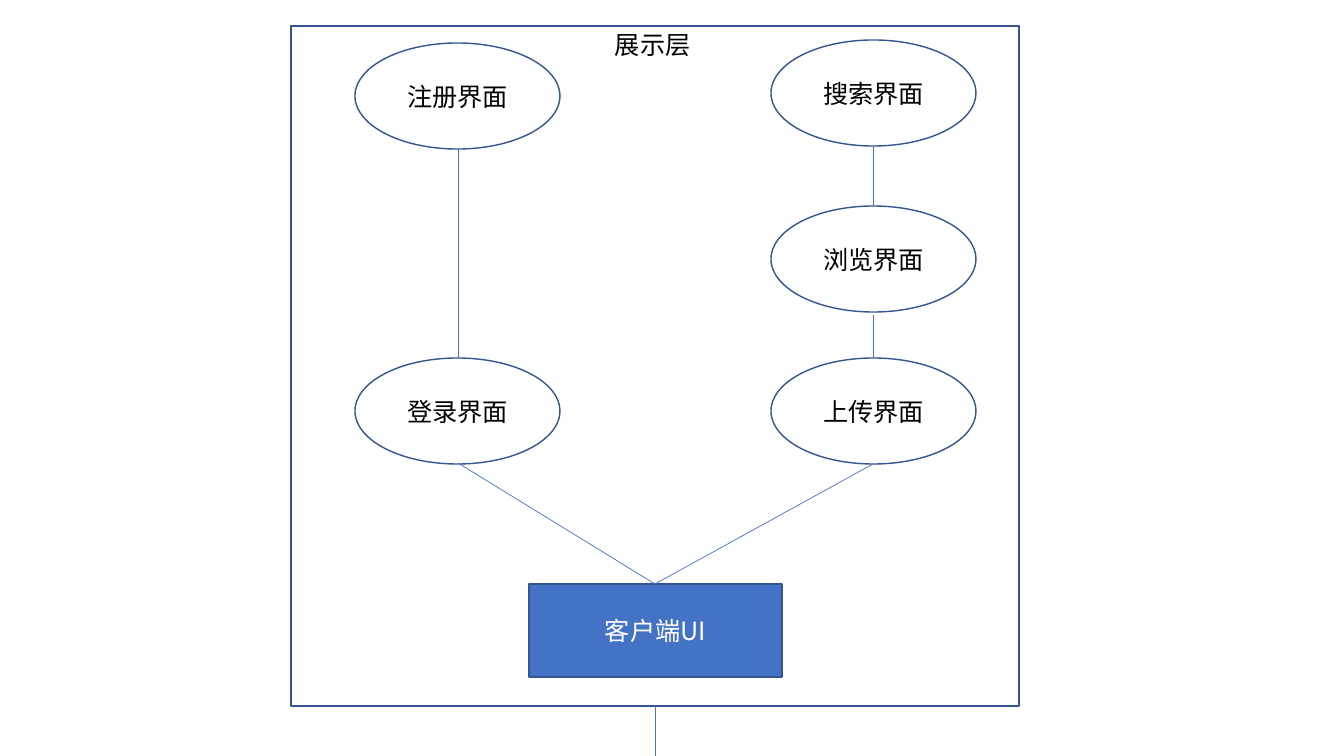
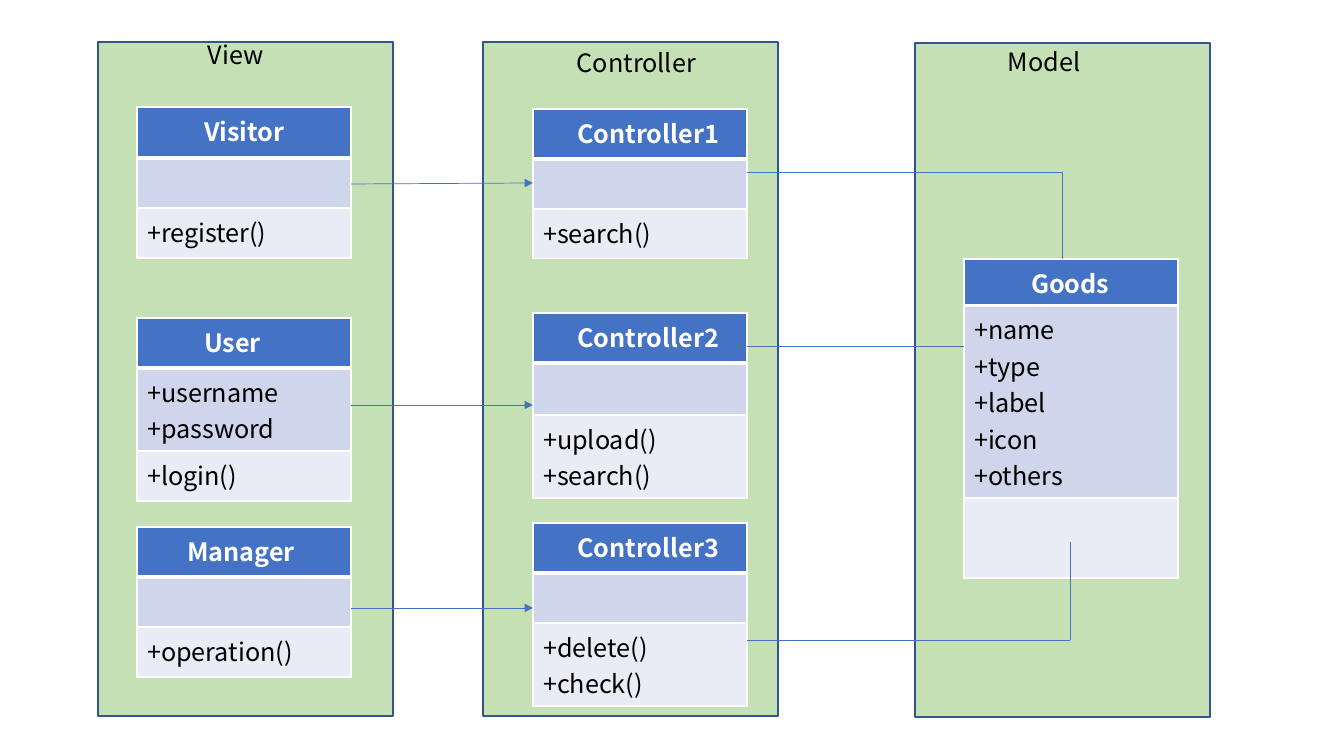
import pptx
import pptx.util
import pptx.dml.color
import pptx.enum.shapes
import pptx.enum.text
import pptx.oxml.ns
import lxml.etree

PX = 914400 / 100.8
FONT = "Noto Sans CJK SC"
WHITE = pptx.dml.color.RGBColor(0xFF, 0xFF, 0xFF)
BLACK = pptx.dml.color.RGBColor(0x00, 0x00, 0x00)
BLUE = pptx.dml.color.RGBColor(0x44, 0x72, 0xC4)
OUTLINE = pptx.dml.color.RGBColor(0x32, 0x54, 0x91)
GREEN = pptx.dml.color.RGBColor(0xC5, 0xE0, 0xB4)
BAND = pptx.dml.color.RGBColor(0xCF, 0xD5, 0xEA)
PALE = pptx.dml.color.RGBColor(0xE9, 0xEB, 0xF5)
RECT = pptx.enum.shapes.MSO_SHAPE.RECTANGLE
OVAL = pptx.enum.shapes.MSO_SHAPE.OVAL
CENTER = pptx.enum.text.PP_ALIGN.CENTER
LEFT = pptx.enum.text.PP_ALIGN.LEFT
qn = pptx.oxml.ns.qn


def px(*lengths):
    return [round(length * PX) for length in lengths]


def write(frame, text, color, align=LEFT, bold=False, indent=0):
    frame.text = text
    for paragraph in frame.paragraphs:
        paragraph.alignment = align
        if indent:
            paragraph._p.get_or_add_pPr().set("marL", str(px(indent)[0]))
        for run in paragraph.runs:
            run.font.name = FONT
            run.font.size = pptx.util.Pt(18)
            run.font.bold = bold
            run.font.color.rgb = color
            east_asian = lxml.etree.SubElement(run.font._element, qn("a:ea"))
            east_asian.set("typeface", FONT)


prs = pptx.Presentation()
prs.slide_width, prs.slide_height = px(1344, 756)
layers = prs.slides.add_slide(prs.slide_layouts[6])
classes = prs.slides.add_slide(prs.slide_layouts[6])

# Boxes: slide, outline, left, top, width, height, fill, text, text colour
login_x, search_x, oval_w, oval_h = 355, 771, 205, 106
boxes = [(layers, RECT, 291, 26, 728, 680, WHITE, "", BLACK)]
for left, top, label in [(login_x, 43, "注册界面"), (login_x, 358, "登录界面"),
                         (search_x, 40, "搜索界面"), (search_x, 206, "浏览界面"),
                         (search_x, 358, "上传界面")]:
    boxes.append((layers, OVAL, left, top, oval_w, oval_h, WHITE, label, BLACK))
boxes.append((layers, RECT, 529, 584, 253, 93, BLUE, "客户端UI", WHITE))
for left, top in [(915, 43), (483, 42), (98, 42)]:
    boxes.append((classes, RECT, left, top, 295, 674, GREEN, "", BLACK))

for slide, outline, left, top, width, height, fill, label, color in boxes:
    box = slide.shapes.add_shape(outline, *px(left, top, width, height))
    box.shadow.inherit = False
    box.fill.solid()
    box.fill.fore_color.rgb = fill
    box.line.color.rgb = OUTLINE
    box.line.width = pptx.util.Pt(1)
    if label:
        box.text_frame.vertical_anchor = pptx.enum.text.MSO_ANCHOR.MIDDLE
        write(box.text_frame, label, color, CENTER)

# Class tables: left, top, row heights, name indent, name, attributes, methods
view_x, controller_x, model_x, class_w = 137, 533, 964, 214
class_tables = [
    (view_x, 107, (51, 50, 50), 57, "Visitor", "", "+register()"),
    (view_x, 318, (50, 82, 50), 57, "User", "+username\n+password", "+login()"),
    (view_x, 527, (50, 50, 50), 40, "Manager", "", "+operation()"),
    (controller_x, 109, (50, 50, 50), 34, "Controller1", "", "+search()"),
    (controller_x, 313, (50, 52, 82), 34, "Controller2", "", "+upload()\n+search()"),
    (controller_x, 523, (50, 50, 82), 34, "Controller3", "", "+delete()\n+check()"),
    (model_x, 259, (46, 192, 80), 57, "Goods",
     "+name\n+type\n+label\n+icon\n+others", ""),
]
for left, top, heights, indent, *texts in class_tables:
    table = classes.shapes.add_table(
        3, 1, *px(left, top, class_w, sum(heights))).table
    for row, fill in enumerate([BLUE, BAND, PALE]):
        table.rows[row].height = px(heights[row])[0]
        cell = table.cell(row, 0)
        for side in "LRTB":
            # The rule under the class name is heavier
            heavy = (row, side) in [(0, "B"), (1, "T")]
            border = lxml.etree.SubElement(
                cell._tc.get_or_add_tcPr(), qn("a:ln" + side))
            border.set("w", str(pptx.util.Pt(3 if heavy else 1)))
            paint = lxml.etree.SubElement(border, qn("a:solidFill"))
            lxml.etree.SubElement(paint, qn("a:srgbClr")).set("val", str(WHITE))
        cell.fill.solid()
        cell.fill.fore_color.rgb = fill
        is_name = row == 0
        write(cell.text_frame, texts[row], WHITE if is_name else BLACK,
              bold=is_name, indent=indent if is_name else 0)

# Headings: slide, left, top, width, indent, text
for slide, left, top, width, indent, heading in [
        (layers, 605, 24, 144, 0, "展示层"),
        (classes, 164, 34, 163, 34, "View"),
        (classes, 533, 42, 177, 34, "Controller"),
        (classes, 964, 41, 163, 34, "Model")]:
    title = slide.shapes.add_textbox(*px(left, top, width, 40)).text_frame
    title.word_wrap = True
    title.auto_size = pptx.enum.text.MSO_AUTO_SIZE.SHAPE_TO_FIT_TEXT
    write(title, heading, BLACK, indent=indent)

# Links: slide, start, end, arrowhead
login_mid, search_mid, ui_mid = 458, 873, 655
view_edge, controller_edge = view_x + class_w, controller_x + class_w
links = [
    (layers, login_mid, 149, login_mid, 358, False),
    (layers, login_mid, 463, ui_mid, 584, False),
    (layers, search_mid, 146, search_mid, 206, False),
    (layers, search_mid, 315, search_mid, 358, False),
    (layers, search_mid, 464, ui_mid, 584, False),
    (layers, ui_mid, 706, ui_mid, 756, False),
    (classes, view_edge, 608, controller_x, 608, True),
    (classes, view_edge, 405, controller_x, 405, True),
    (classes, view_edge, 184, controller_x, 183, True),
    (classes, controller_edge, 172, 1062, 172, False),
    (classes, 1062, 172, 1062, 259, False),
    (classes, controller_edge, 346, model_x, 346, False),
    (classes, controller_edge, 640, 1070, 640, False),
    (classes, 1070, 640, 1070, 542, False),
]
for slide, x1, y1, x2, y2, arrow in links:
    link = slide.shapes.add_connector(
        pptx.enum.shapes.MSO_CONNECTOR.STRAIGHT, *px(x1, y1, x2, y2))
    link.line.color.rgb = BLUE
    link.line.width = pptx.util.Pt(0.5)
    if arrow:
        head = lxml.etree.SubElement(link.line._get_or_add_ln(), qn("a:tailEnd"))
        head.set("type", "triangle")
    lxml.etree.SubElement(link._element.spPr, qn("a:effectLst"))

prs.save("out.pptx")
